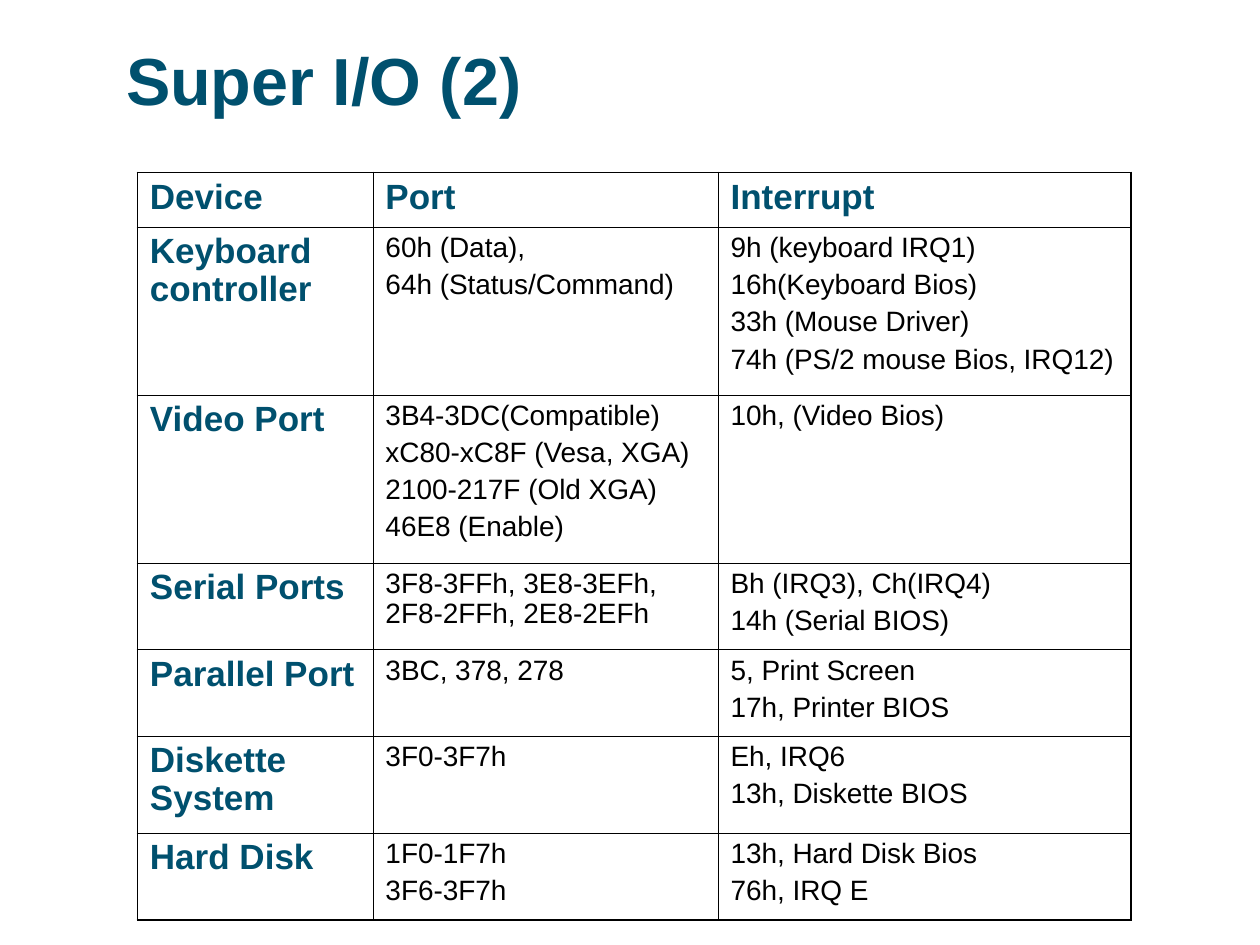
from lxml import etree
from pptx import Presentation
from pptx.dml.color import RGBColor
from pptx.enum.text import MSO_ANCHOR, PP_ALIGN
from pptx.oxml.ns import qn
from pptx.util import Pt

LEFT, MIDDLE, TOP = PP_ALIGN.LEFT, MSO_ANCHOR.MIDDLE, MSO_ANCHOR.TOP
TEAL = RGBColor(0x00, 0x50, 0x6E)
BLACK = RGBColor(0, 0, 0)
WHITE = RGBColor(255, 255, 255)

# Content: each cell is a list of paragraphs
TITLE = "Super I/O (2)"
ROWS = [
    (["Device"], ["Port"], ["Interrupt"]),
    (["Keyboard controller"],
     ["60h (Data),", "64h (Status/Command)"],
     ["9h (keyboard IRQ1)", "16h(Keyboard Bios)", "33h (Mouse Driver)",
      "74h (PS/2 mouse Bios, IRQ12)"]),
    (["Video Port"],
     ["3B4-3DC(Compatible)", "xC80-xC8F (Vesa, XGA)",
      "2100-217F (Old XGA)", "46E8 (Enable)"],
     ["10h, (Video Bios)"]),
    (["Serial Ports"],
     ["3F8-3FFh, 3E8-3EFh, 2F8-2FFh, 2E8-2EFh"],
     ["Bh (IRQ3), Ch(IRQ4)", "14h (Serial BIOS)"]),
    (["Parallel Port"], ["3BC, 378, 278"],
     ["5, Print Screen", "17h, Printer BIOS"]),
    (["Diskette System"], ["3F0-3F7h"], ["Eh, IRQ6", "13h, Diskette BIOS"]),
    (["Hard Disk"], ["1F0-1F7h", "3F6-3F7h"],
     ["13h, Hard Disk Bios", "76h, IRQ E"]),
]

# Layout and formats
WIDTHS = [134.6, 197.2, 236]
HEIGHTS = [31.2, 96, 96, 49.5, 49.5, 55.4, 49.5]
THIN, THICK = 0.45, 1.08
HEAD = {"size": Pt(20), "bold": True, "name": "Arial"}
BODY = {"size": Pt(16), "bold": False, "name": "Arial"}
MAIN = {"size": Pt(38), "bold": True, "name": "Arial"}


def style(par, font, color):
    par.alignment = LEFT
    for key, value in font.items():
        setattr(par.font, key, value)
    par.font.color.rgb = color


def border(cell, side, width):
    line = etree.SubElement(cell._tc.get_or_add_tcPr(), qn("a:" + side),
                            w=str(Pt(width)))
    fill = etree.SubElement(line, qn("a:solidFill"))
    etree.SubElement(fill, qn("a:srgbClr"), val=str(BLACK))


def fill_cell(cell, lines, head, edges):
    cell.vertical_anchor = TOP
    for side, outer in edges.items():
        border(cell, side, THICK if outer else THIN)
    cell.fill.solid()
    cell.fill.fore_color.rgb = WHITE
    frame = cell.text_frame
    frame.text = "\n".join(lines)
    for par in frame.paragraphs:
        style(par, HEAD if head else BODY, TEAL if head else BLACK)
        par.space_before = Pt(5 if head else 4)
        par.line_spacing = 0.97


def main():
    deck = Presentation()
    deck.slide_width, deck.slide_height = Pt(720), Pt(540)
    slide = deck.slides.add_slide(deck.slide_layouts[5])

    # Title
    title = slide.shapes.title
    title.left, title.top = Pt(64.8), Pt(15.1)
    title.width, title.height = Pt(591.8), Pt(60.5)
    title.text_frame.text = TITLE
    title.text_frame.vertical_anchor = MIDDLE
    style(title.text_frame.paragraphs[0], MAIN, TEAL)

    # Table
    table = slide.shapes.add_table(
        len(ROWS), len(WIDTHS), Pt(78.5), Pt(98.6),
        Pt(sum(WIDTHS)), Pt(sum(HEIGHTS))).table
    table.first_row = table.horz_banding = False
    for col, width in zip(table.columns, WIDTHS):
        col.width = Pt(width)
    for row, height in zip(table.rows, HEIGHTS):
        row.height = Pt(height)

    # Cells: thick lines on the outer frame only
    for r, row in enumerate(ROWS):
        for c, lines in enumerate(row):
            edges = {"lnL": c == 0, "lnR": c == len(WIDTHS) - 1,
                     "lnT": r == 0, "lnB": r == len(ROWS) - 1}
            fill_cell(table.cell(r, c), lines, r == 0 or c == 0, edges)

    deck.save("out.pptx")


if __name__ == "__main__":
    main()
